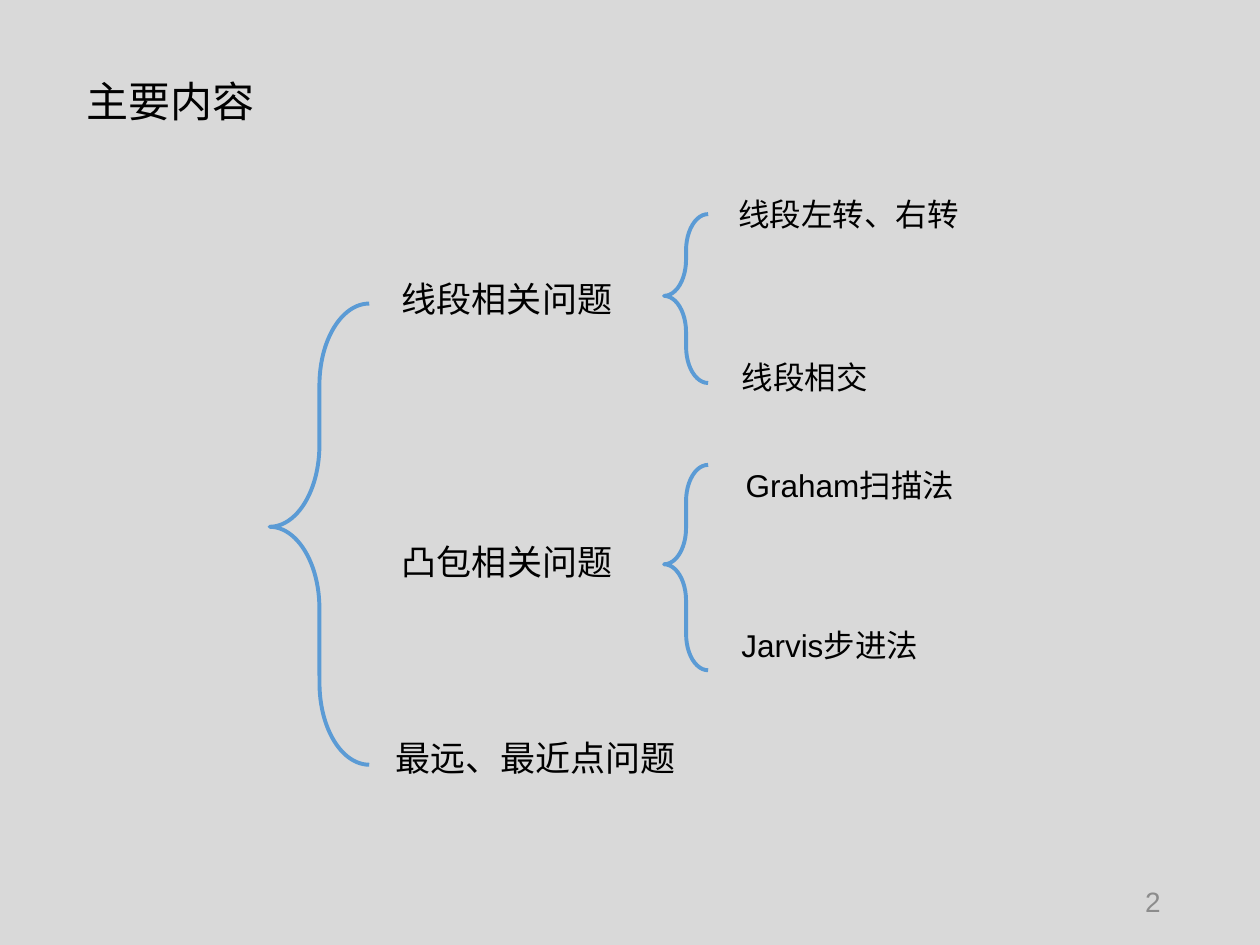
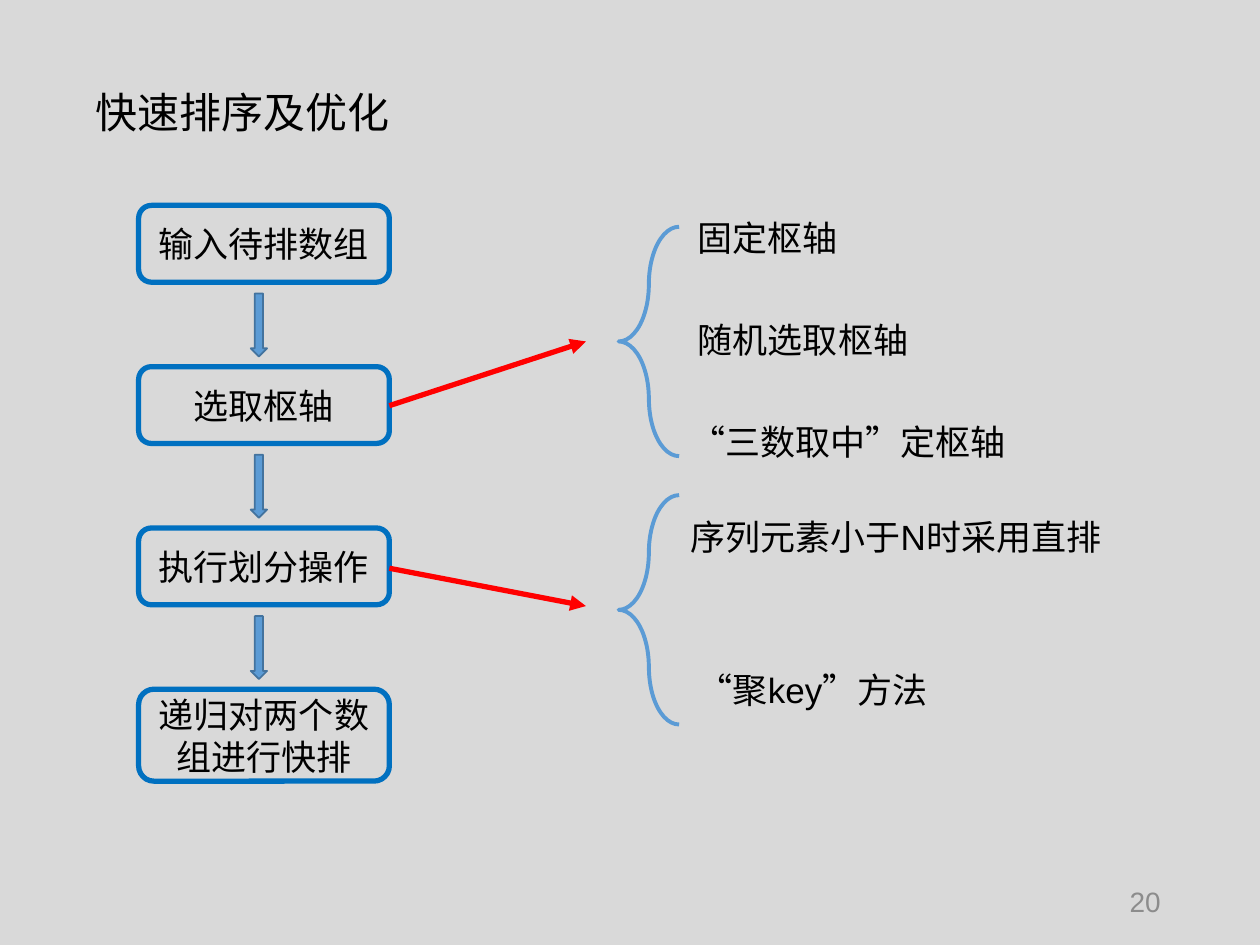
from lxml import etree
from pptx import Presentation
from pptx.dml.color import RGBColor
from pptx.enum import lang, shapes, text
from pptx.oxml.ns import qn
from pptx.util import Inches, Pt

GREY = RGBColor(0xD9, 0xD9, 0xD9)
BLACK = RGBColor(0, 0, 0)
DIM = RGBColor(0x8C, 0x8C, 0x8C)
SKY = RGBColor(0x5B, 0x9B, 0xD5)
STEEL = RGBColor(0x43, 0x73, 0x9E)
BLUE = RGBColor(0, 0x70, 0xC0)
RED = RGBColor(0xFF, 0, 0)

KIND = shapes.MSO_SHAPE
LEFT, MID, RIGHT = text.PP_ALIGN.LEFT, text.PP_ALIGN.CENTER, text.PP_ALIGN.RIGHT
TOP, CORE = text.MSO_ANCHOR.TOP, text.MSO_ANCHOR.MIDDLE


def write(shape, words, size, align=LEFT, anchor=TOP, color=BLACK):
    frame = shape.text_frame
    looks = {"word_wrap": True, "auto_size": text.MSO_AUTO_SIZE.NONE,
             "vertical_anchor": anchor}
    for key, value in looks.items():
        setattr(frame, key, value)
    para = frame.paragraphs[0]
    para.alignment = align
    run = para.add_run()
    run.text = words
    run.font.color.rgb = color
    looks = {"name": "Arial", "size": Pt(size),
             "language_id": lang.MSO_LANGUAGE_ID.SIMPLIFIED_CHINESE}
    for key, value in looks.items():
        setattr(run.font, key, value)
    return para


def draw(slide, kind, place, line, width, fill=None):
    shape = slide.shapes.add_shape(kind, *map(Inches, place))
    shape.shadow.inherit = False
    shape.line.color.rgb = line
    shape.line.width = Pt(width)
    if fill is None:
        shape.fill.background()
    else:
        shape.fill.solid()
        shape.fill.fore_color.rgb = fill
    return shape


prs = Presentation()
prs.slide_width, prs.slide_height = Inches(10), Inches(7.5)
back = prs.slide_master.background.fill
back.solid()
back.fore_color.rgb = GREY

pages = [
    {"title": "主要内容", "place": (0.59, 0.49, 1.69, 0.67), "number": "2",
     "align": MID, "bend": (0.821, 0.484),
     "braces": [(2.14, 2.41, 0.79, 3.66), (5.27, 1.7, 0.35, 1.34),
                (5.27, 3.69, 0.35, 1.63)],
     "labels": [("线段相关问题", 20, 2.86, 2.15, 2.33),
                ("凸包相关问题", 20, 2.94, 4.24, 2.17),
                ("最远、最近点问题", 20, 2.73, 5.8, 3.04),
                ("线段左转、右转", 18, 5.62, 1.5, 2.23),
                ("线段相交", 18, 5.71, 2.79, 1.35),
                ("Graham扫描法", 18, 5.79, 3.65, 1.91),
                ("Jarvis步进法", 18, 5.71, 4.92, 1.75)]},
    {"title": "快速排序及优化", "place": (0.66, 0.66, 7.41, 0.5), "number": "20",
     "align": LEFT, "bend": (1.265, 0.5),
     "braces": [(4.91, 1.8, 0.48, 1.82), (4.91, 3.93, 0.48, 1.82)],
     "labels": [("固定枢轴", 20, 5.44, 1.67, 2.68),
                ("随机选取枢轴", 20, 5.44, 2.48, 2.68),
                ("“三数取中”定枢轴", 20, 5.38, 3.29, 3.11),
                ("序列元素小于N时采用直排", 20, 5.38, 4.04, 4.62),
                ("“聚key”方法", 20, 5.44, 5.26, 2.27)]},
]

for page in pages:
    slide = prs.slides.add_slide(prs.slide_layouts[5])
    title = slide.shapes.title
    for key, value in zip(("left", "top", "width", "height"), page["place"]):
        setattr(title, key, Inches(value))
    write(title, page["title"], 24, anchor=CORE).line_spacing = 0.9
    for place in page["braces"]:
        brace = draw(slide, KIND.LEFT_BRACE, place, SKY, 2.25)
        for i, bend in enumerate(page["bend"]):
            brace.adjustments[i] = bend
    for words, size, x, y, wide in page["labels"]:
        high = 0.44 if size == 20 else 0.4
        box = slide.shapes.add_textbox(*map(Inches, (x, y, wide, high)))
        write(box, words, size, page["align"])
    box = slide.shapes.add_textbox(*map(Inches, (7.06, 6.95, 2.25, 0.4)))
    write(box, page["number"], 16, RIGHT, CORE, DIM)

steps = ["输入待排数组", "选取枢轴", "执行划分操作", "递归对两个数组进行快排"]
for i, words in enumerate(steps):
    y = 1.63 + 1.28 * i
    last = i == len(steps) - 1
    step = draw(slide, KIND.ROUNDED_RECTANGLE,
                (1.1, y, 1.99, 0.73 if last else 0.61), BLUE, 3)
    write(step, words, 20, MID, CORE)
    if not last:
        draw(slide, KIND.DOWN_ARROW, (1.99, y + 0.7, 0.13, 0.5), STEEL, 1, SKY)

for start, end in [(3.22, 2.71), (4.51, 4.81)]:
    ends = map(Inches, (3.09, start, 4.65, end))
    link = slide.shapes.add_connector(shapes.MSO_CONNECTOR.STRAIGHT, *ends)
    link.line.color.rgb = RED
    link.line.width = Pt(3)
    etree.SubElement(link.line._get_or_add_ln(), qn("a:tailEnd"), type="triangle")
    etree.SubElement(link._element.spPr, qn("a:effectLst"))

prs.save("out.pptx")
